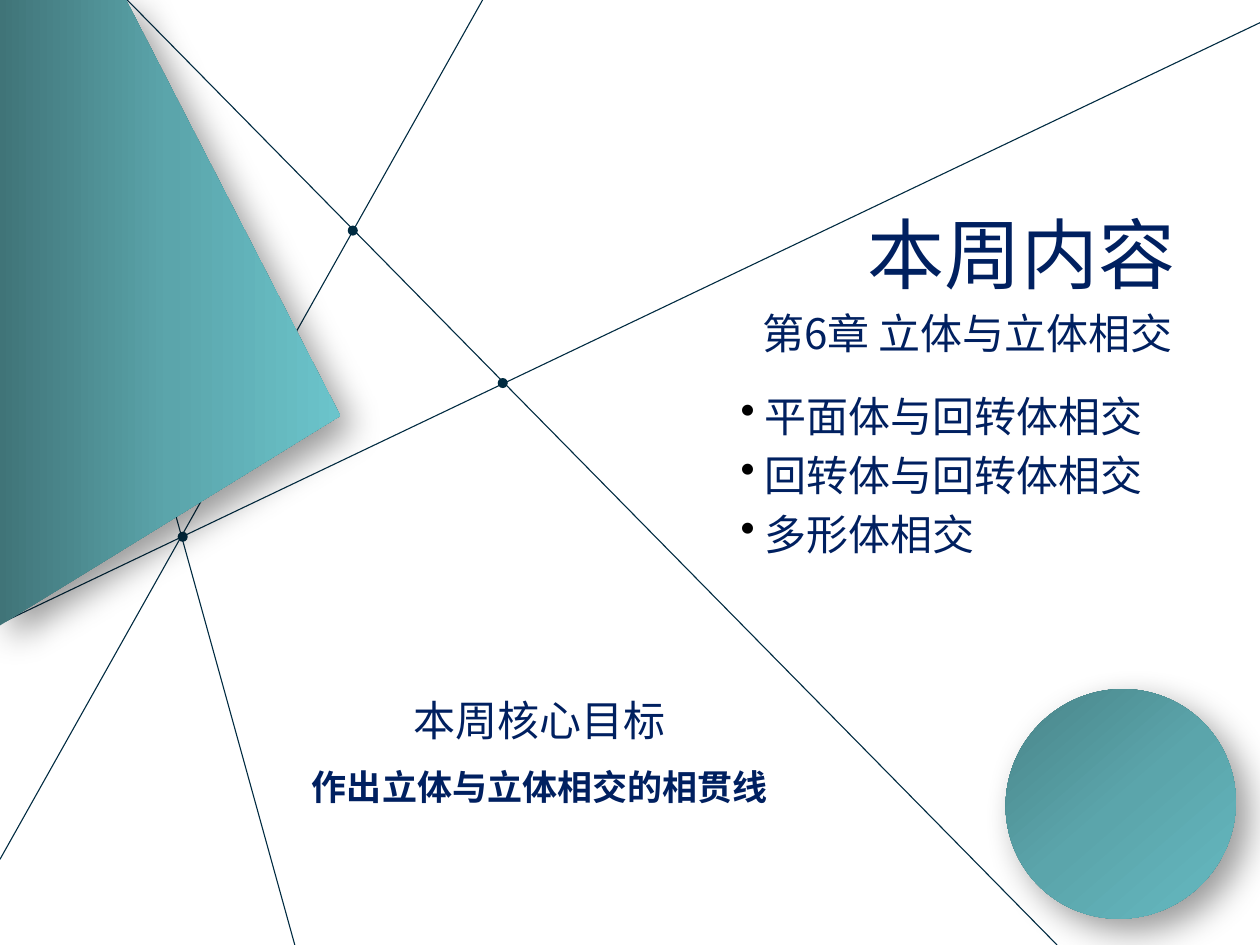
from dataclasses import dataclass

from lxml.etree import SubElement
from pptx import Presentation
from pptx.dml.color import RGBColor
from pptx.enum.shapes import MSO_CONNECTOR, MSO_SHAPE
from pptx.enum.text import PP_ALIGN
from pptx.oxml.ns import qn
from pptx.shapes.autoshape import Shape
from pptx.slide import Slide
from pptx.util import Inches, Length, Pt

COLUMNS, ROWS = 100, 75
WIDTH, HEIGHT = Inches(10), Inches(7.5)
COLORS = {
    "text": "002060", "network": "002B41", "bullet": "000000", "shadow": "000000",
    "dark": "407478", "teal": "5BA5AB", "light": "6BC4CB",
}
GRADIENT = ((0, "dark"), (50, "teal"), (100, "light"))
CJK_FONT = "Noto Sans CJK SC"
DOT_SIZE = 0.8
LINE_HEIGHT = 1.2


@dataclass(frozen=True)
class Line:
    text: str
    size: int
    font: str = CJK_FONT
    bold: bool = False
    bullet: bool = False
    space_before: float = 0


@dataclass(frozen=True)
class TextBlock:
    left: float
    top: float
    width: float
    height: float
    lines: tuple[Line, ...]
    align: PP_ALIGN = PP_ALIGN.LEFT


@dataclass(frozen=True)
class Ray:
    start: tuple[float, float]
    end: tuple[float, float]


TOPICS = ("平面体与回转体相交", "回转体与回转体相交", "多形体相交")
BLOCKS = (
    TextBlock(65.9, 15.9, 30.3, 8.4, (Line("本周内容", 44, "Arial"),), PP_ALIGN.CENTER),
    TextBlock(59.5, 23.9, 36.6, 5.5, (Line("第6章 立体与立体相交", 24, space_before=0.2),)),
    TextBlock(18.7, 54.6, 48.3, 10.1, (
        Line("本周核心目标", 24, space_before=0.5),
        Line("作出立体与立体相交的相贯线", 20, bold=True, space_before=0.6),
    ), PP_ALIGN.CENTER),
    TextBlock(57.8, 30.5, 41.8, 16.4, tuple(
        Line(f" {topic}", 24, bullet=True, space_before=0.2) for topic in TOPICS
    )),
)
RAYS = (
    Ray((83.9, ROWS), (10.1, 0)),
    Ray((38.3, 0), (0, 68.2)),
    Ray((COLUMNS, 1.8), (0.2, 49.4)),
    Ray((23.4, ROWS), (4.8, 7.9)),
)
CROSSINGS = ((28, 18.3), (14.5, 42.6), (39.9, 30.4))
PANEL_CORNERS = ((10, 0), (-0.1, 0), (-0.1, 49.7), (27, 33))


def x(columns: float) -> Length:
    return Length(round(WIDTH * columns / COLUMNS))


def y(rows: float) -> Length:
    return Length(round(HEIGHT * rows / ROWS))


def rgb(name: str) -> RGBColor:
    return RGBColor.from_string(COLORS[name])


def add_text(slide: Slide, block: TextBlock) -> None:
    box = slide.shapes.add_textbox(x(block.left), y(block.top), x(block.width), y(block.height))
    frame = box.text_frame
    frame.word_wrap = True
    for index, line in enumerate(block.lines):
        paragraph = frame.paragraphs[0] if index == 0 else frame.add_paragraph()
        paragraph.alignment = block.align
        paragraph.line_spacing = Pt(line.size * LINE_HEIGHT)
        paragraph.space_before = Pt(line.size * line.space_before)
        if line.bullet:
            properties = paragraph._p.get_or_add_pPr()
            bullet_color = SubElement(properties, qn("a:buClr"))
            SubElement(bullet_color, qn("a:srgbClr"), val=COLORS["bullet"])
            SubElement(properties, qn("a:buChar"), char="•")
        run = paragraph.add_run()
        run.text = line.text
        run.font.size, run.font.bold, run.font.name = Pt(line.size), line.bold, line.font
        run.font.color.rgb = rgb("text")
        SubElement(run._r.get_or_add_rPr(), qn("a:ea"), typeface=CJK_FONT)


def add_ray(slide: Slide, ray: Ray) -> None:
    (x1, y1), (x2, y2) = ray.start, ray.end
    connector = slide.shapes.add_connector(MSO_CONNECTOR.STRAIGHT, x(x1), y(y1), x(x2), y(y2))
    connector.line.color.rgb = rgb("network")
    connector.line.width = Pt(0.63)
    SubElement(connector._element.spPr, qn("a:effectLst"))


def add_ellipse(slide: Slide, left: float, top: float, width: float, height: float) -> Shape:
    return slide.shapes.add_shape(MSO_SHAPE.OVAL, x(left), y(top), x(width), y(height))


def add_crossing(slide: Slide, center: tuple[float, float]) -> None:
    left, top = (position - DOT_SIZE / 2 for position in center)
    dot = add_ellipse(slide, left, top, DOT_SIZE, DOT_SIZE)
    dot.shadow.inherit = False
    dot.fill.solid()
    dot.fill.fore_color.rgb = rgb("network")
    dot.line.fill.background()


def style_teal(shape: Shape, angle: int) -> None:
    """Give the shape the teal gradient, no outline and a soft shadow to the lower right."""
    shape.line.fill.background()
    shape.shadow.inherit = False
    properties = shape._element.spPr
    gradient = SubElement(properties, qn("a:gradFill"), rotWithShape="1")
    properties.find(qn("a:ln")).addprevious(gradient)
    stops = SubElement(gradient, qn("a:gsLst"))
    for percent, color in GRADIENT:
        stop = SubElement(stops, qn("a:gs"), pos=str(percent * 1000))
        SubElement(stop, qn("a:srgbClr"), val=COLORS[color])
    SubElement(gradient, qn("a:lin"), ang=str(angle * 60000), scaled="0")
    shadow = SubElement(
        properties.find(qn("a:effectLst")), qn("a:outerShdw"), blurRad=str(Pt(20)),
        dist=str(Pt(10)), dir=str(45 * 60000), algn="tl", rotWithShape="0",
    )
    shadow_color = SubElement(shadow, qn("a:srgbClr"), val=COLORS["shadow"])
    SubElement(shadow_color, qn("a:alpha"), val="40000")


def add_panel(slide: Slide) -> None:
    first, *others = [(x(column), y(row)) for column, row in PANEL_CORNERS]
    builder = slide.shapes.build_freeform(*first)
    builder.add_line_segments(others, close=True)
    style_teal(builder.convert_to_shape(), angle=0)


def add_disc(slide: Slide) -> None:
    disc = add_ellipse(slide, 79.9, 54.6, 18.1, 18.4)
    disc.rotation = 229.1
    style_teal(disc, angle=180)


def main() -> None:
    presentation = Presentation()
    presentation.slide_width, presentation.slide_height = WIDTH, HEIGHT
    slide = presentation.slides.add_slide(presentation.slide_layouts[6])
    for block in BLOCKS:
        add_text(slide, block)
    for ray in RAYS:
        add_ray(slide, ray)
    for crossing in CROSSINGS:
        add_crossing(slide, crossing)
    add_panel(slide)
    add_disc(slide)
    presentation.save("out.pptx")


if __name__ == "__main__":
    main()
